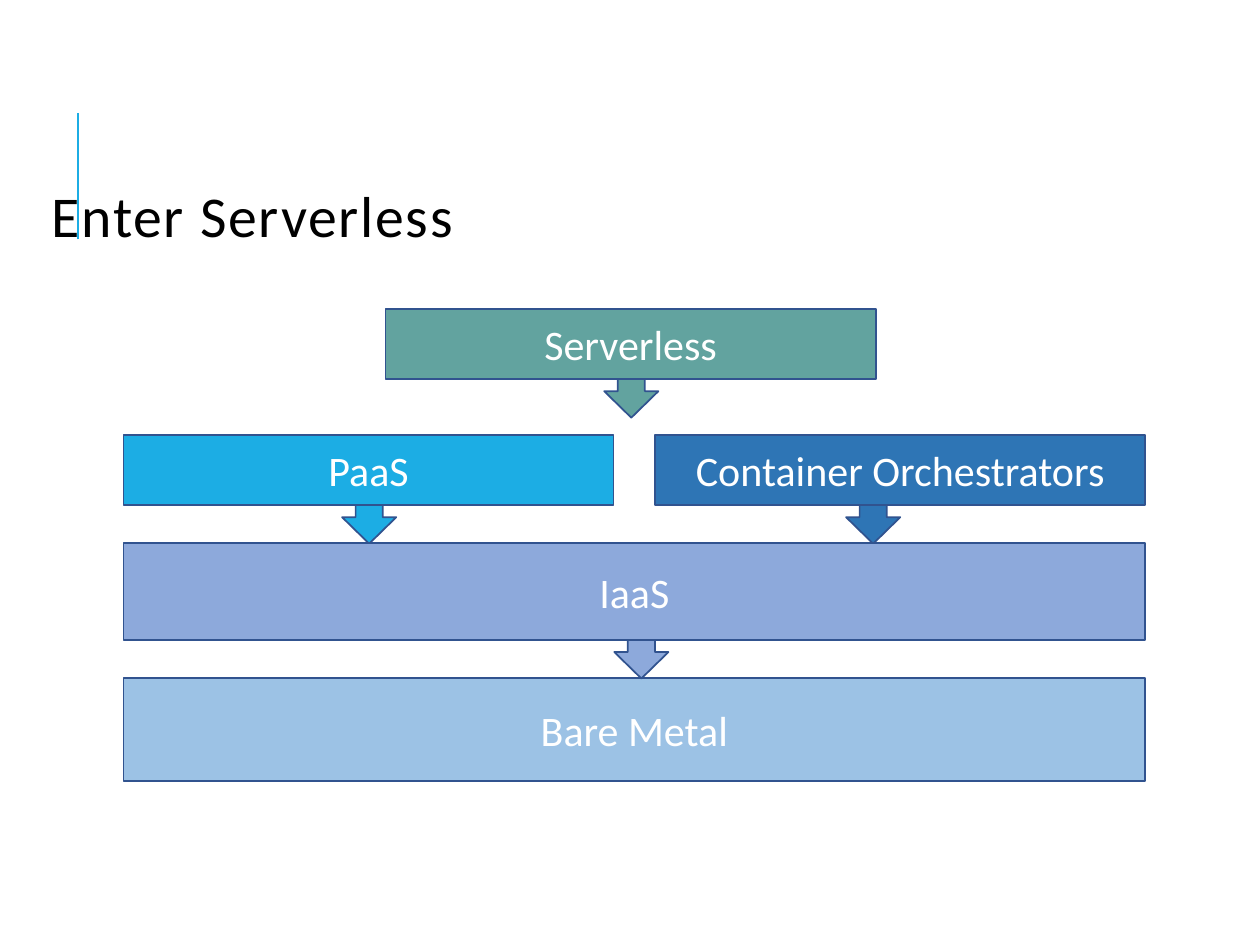
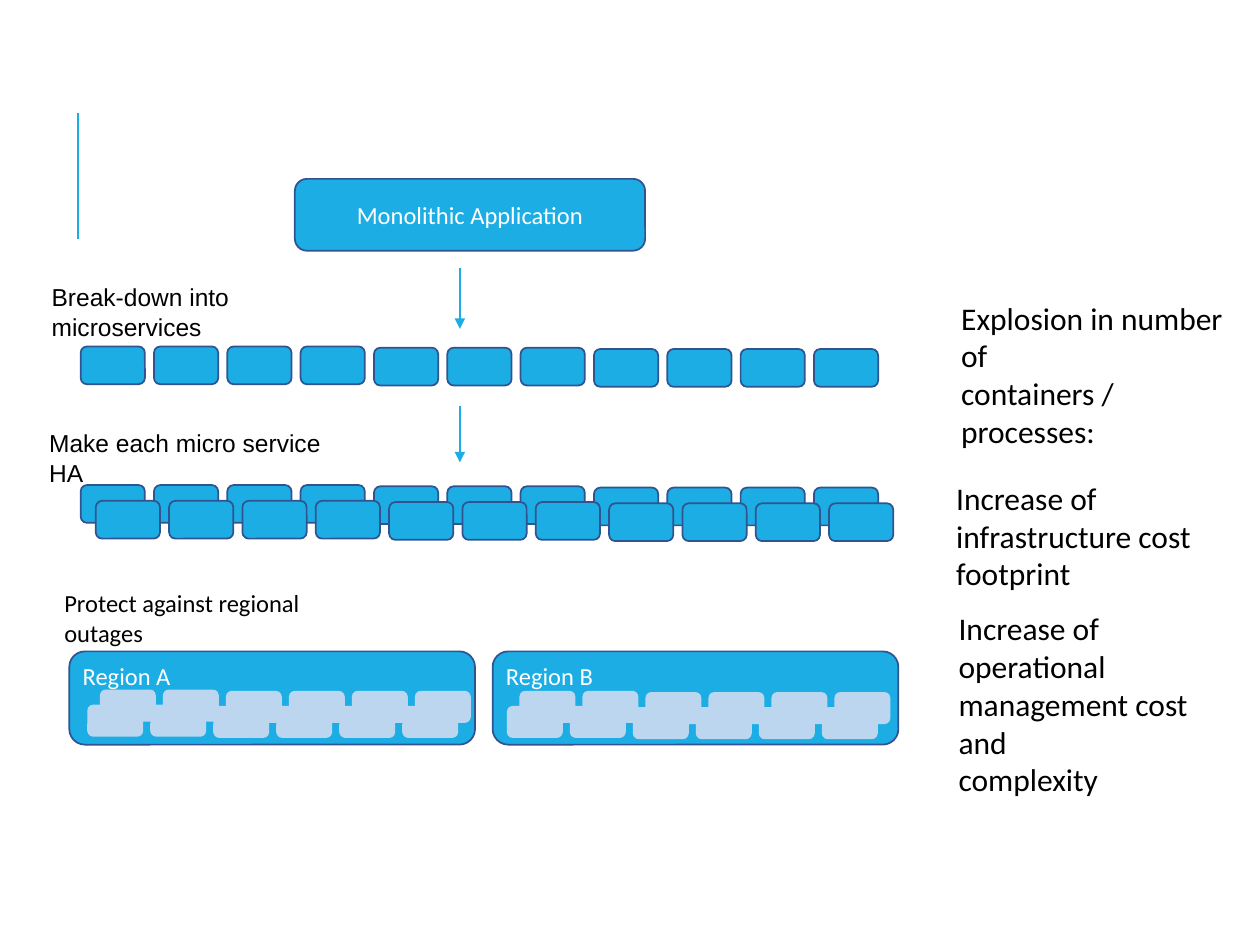
from dataclasses import dataclass
from lxml import etree
from pptx import Presentation
from pptx.dml.color import RGBColor
from pptx.enum.shapes import MSO_CONNECTOR as Connector, MSO_SHAPE as Shape
from pptx.enum.text import MSO_ANCHOR as Anchor, MSO_AUTO_SIZE as AutoSize, PP_ALIGN as Align
from pptx.oxml.ns import qn
from pptx.util import Inches, Pt


@dataclass(frozen=True)
class Theme:
    accent: str = "1CADE4"
    outline: str = "31538F"
    pod: str = "BBD6EE"
    teal: str = "62A39F"
    blue: str = "2E75B5"
    lavender: str = "8DA9DB"
    sky: str = "9CC2E5"
    black: str = "000000"
    white: str = "FFFFFF"
    font: str = "Calibri"
    label_font: str = "Arial"
    title_size: int = 33
    layer_size: int = 24
    note_size: int = 18
    label_size: int = 14


THEME = Theme()
NARROW = (0.07, 0.04)
WIDE = (0.1, 0.1)

# Content: layers of the stack as (text, place, fill, arrow centre or None)
TITLE = "Enter Serverless"
LAYERS = [
    ("Bare Metal", (0.98, 5.38, 8.11, 0.82), THEME.sky, None),
    ("PaaS", (0.98, 3.45, 3.89, 0.56), THEME.accent, 2.93),
    ("Container Orchestrators", (5.2, 3.45, 3.89, 0.56), THEME.blue, 6.93),
    ("IaaS", (0.98, 4.31, 8.11, 0.77), THEME.lavender, 5.09),
    ("Serverless", (3.06, 2.45, 3.89, 0.56), THEME.teal, 5.01),
]

# Content: microservice growth
MONOLITH = ("Monolithic Application", (2.34, 1.42, 2.78, 0.57))
STEPS = [
    ("Break-down into microservices", (0.34, 2.2, 2.73, 0.3), THEME.label_font),
    ("Make each micro service HA", (0.32, 3.36, 2.56, 0.3), THEME.label_font),
    ("Protect against regional outages", (0.44, 4.63, 2.62, 0.3), THEME.font),
]
STEP_ARROWS = [(2.13, 2.61), (3.22, 3.67)]
SERVICE_ROWS = [(0.64, 2.75), (0.64, 3.85), (0.76, 3.975)]
REGIONS = [("Region A", 0.55, 0.0), ("Region B", 3.91, 0.01)]
NOTES = [
    (["Explosion in number of", "containers / processes:"], (7.53, 2.56, 2.28, 0.82)),
    (["Increase of infrastructure cost footprint"], (7.49, 3.88, 2.45, 0.74)),
    (["Increase of operational", "management cost and", "complexity"],
     (7.51, 5.1, 2.33, 0.97)),
]


# Shared helpers
def color(code):
    return RGBColor.from_string(code)


def write(shape, lines, size, ink=THEME.black, font=THEME.font,
          align=Align.LEFT, anchor=Anchor.TOP, insets=NARROW):
    frame = shape.text_frame
    frame.word_wrap = True
    frame.auto_size = AutoSize.NONE
    frame.vertical_anchor = anchor
    frame.margin_left = frame.margin_right = Inches(insets[0])
    frame.margin_top = frame.margin_bottom = Inches(insets[1])
    for index, line in enumerate(lines):
        para = frame.add_paragraph() if index else frame.paragraphs[0]
        para.alignment = align
        span = para.add_run()
        span.text = line
        span.font.name = font
        span.font.size = Pt(size)
        span.font.color.rgb = color(ink)
    return frame


def add_block(slide, kind, place, fill, line=THEME.outline):
    block = slide.shapes.add_shape(kind, *map(Inches, place))
    block.shadow.inherit = False
    block.fill.solid()
    block.fill.fore_color.rgb = color(fill)
    block.line.color.rgb = color(line)
    block.line.width = Pt(1)
    return block


def add_text(slide, lines, place, size, **style):
    box = slide.shapes.add_textbox(*map(Inches, place))
    write(box, lines, size, **style)


def add_line(slide, x, start, end, width, arrow=False):
    line = slide.shapes.add_connector(
        Connector.STRAIGHT, Inches(x), Inches(start), Inches(x), Inches(end))
    line.line.color.rgb = color(THEME.accent)
    line.line.width = Pt(width)
    if arrow:
        etree.SubElement(line.line._get_or_add_ln(), qn("a:tailEnd"), type="triangle")
    etree.SubElement(line._element.spPr, qn("a:effectLst"))
    return line


def new_slide(deck, layout_name):
    slide = deck.slides.add_slide(deck.slide_layouts.get_by_name(layout_name))
    rule = add_line(slide, 0.62, 1.9, 0.9, 1.5)
    slide.shapes._spTree.insert(2, rule._element)  # send the rule to the back
    return slide


# Slide 1: stack of platforms
def build_stack(deck):
    slide = new_slide(deck, "Title Only")
    title = slide.shapes.title
    title.left, title.top, title.width, title.height = map(Inches, (0.34, 1.42, 9.32, 0.63))
    frame = write(title, [TITLE], THEME.title_size, anchor=Anchor.MIDDLE)
    frame.paragraphs[0].line_spacing = 0.9
    frame.paragraphs[0].runs[0]._r.get_or_add_rPr().set("spc", "100")

    for text, place, fill, arrow_center in LAYERS:
        if arrow_center:
            bottom = place[1] + place[3]
            arrow = add_block(slide, Shape.RIGHT_ARROW,
                              (arrow_center - 0.21, bottom - 0.12, 0.42, 0.43), fill)
            arrow.rotation = 90
        layer = add_block(slide, Shape.RECTANGLE, place, fill)
        write(layer, [text], THEME.layer_size, THEME.white,
              align=Align.CENTER, anchor=Anchor.MIDDLE)


# Slide 2: from one application to many services
def build_growth(deck):
    slide = new_slide(deck, "Blank")
    text, place = MONOLITH
    monolith = add_block(slide, Shape.ROUNDED_RECTANGLE, place, THEME.accent)
    write(monolith, [text], THEME.label_size, THEME.white,
          align=Align.CENTER, anchor=Anchor.MIDDLE)

    # Rows of services, sinking slightly to the right
    for left, top in SERVICE_ROWS:
        for index in range(11):
            sink = 0.01 * ((index >= 4) + (index >= 7))
            add_block(slide, Shape.ROUNDED_RECTANGLE,
                      (left + 0.582 * index, top + sink, 0.51, 0.3), THEME.accent)

    for start, end in STEP_ARROWS:
        add_line(slide, 3.65, start, end, 0.75, arrow=True)
    for text, place, font in STEPS:
        add_text(slide, [text], place, THEME.label_size, font=font)

    # Regions, each with two overlapping rows of pods
    for name, left, drop in REGIONS:
        region = add_block(slide, Shape.ROUNDED_RECTANGLE, (left, 5.17, 3.22, 0.74),
                           THEME.accent)
        write(region, [name], THEME.label_size, THEME.white)
        pod_left = left + 0.15 - 3 * drop
        for shift, top in ((0, 5.6), (0.1, 5.48)):
            for index in range(6):
                sink = drop + 0.01 * (index >= 2)
                add_block(slide, Shape.ROUNDED_RECTANGLE,
                          (pod_left + shift + 0.5 * index, top + sink, 0.43, 0.24),
                          THEME.pod, THEME.pod)

    for lines, place in NOTES:
        add_text(slide, lines, place, THEME.note_size, anchor=Anchor.MIDDLE, insets=WIDE)


def main():
    deck = Presentation()
    deck.slide_width, deck.slide_height = Inches(10), Inches(7.5)
    build_stack(deck)
    build_growth(deck)
    deck.save("out.pptx")


if __name__ == "__main__":
    main()
